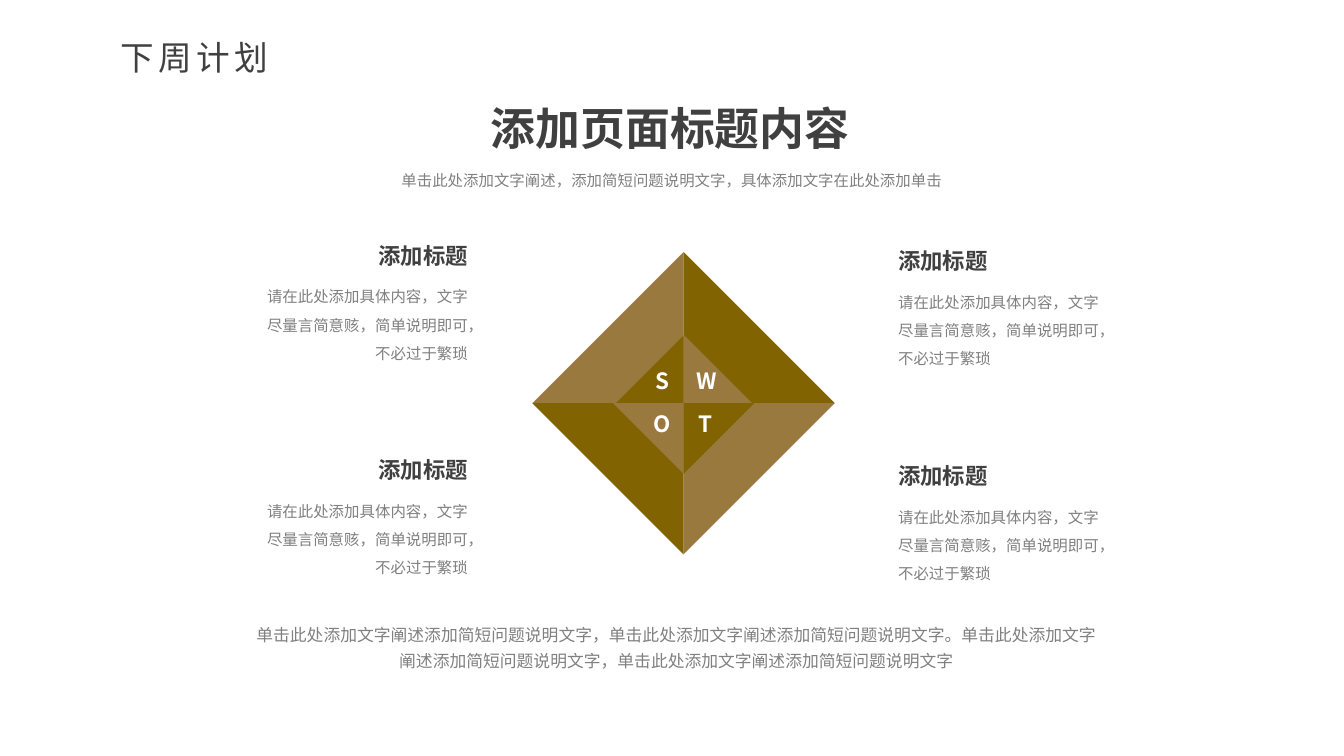
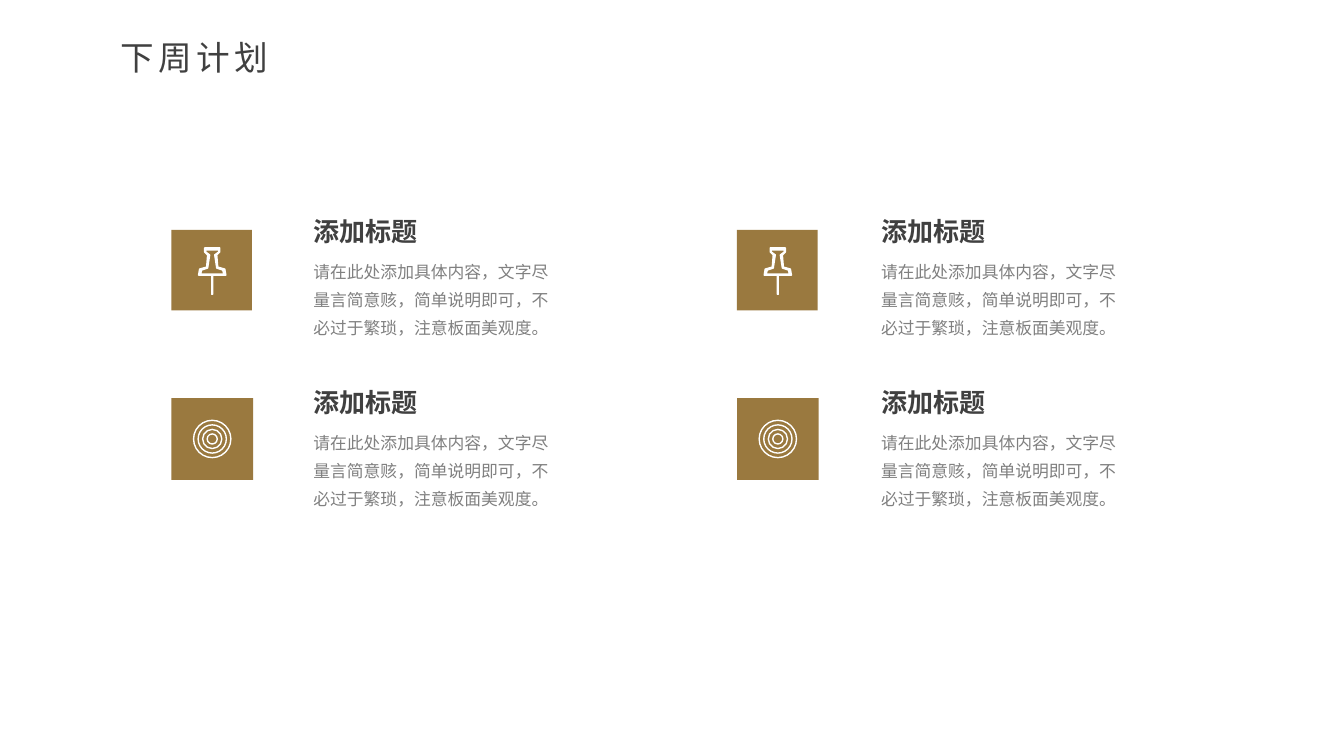
"""Build two plan slides: a SWOT diamond and a grid of icon cards."""
from lxml import etree
from pptx import Presentation
from pptx.dml.color import RGBColor
from pptx.enum.lang import MSO_LANGUAGE_ID
from pptx.enum.shapes import MSO_SHAPE
from pptx.enum.text import MSO_ANCHOR, MSO_AUTO_SIZE, PP_ALIGN
from pptx.oxml.ns import qn
from pptx.util import Pt

RECTANGLE, OVAL, TRIANGLE = MSO_SHAPE.RECTANGLE, MSO_SHAPE.OVAL, MSO_SHAPE.RIGHT_TRIANGLE
LEFT, CENTER, RIGHT, JUSTIFY = PP_ALIGN.LEFT, PP_ALIGN.CENTER, PP_ALIGN.RIGHT, PP_ALIGN.JUSTIFY
FIT, TOP = MSO_AUTO_SIZE.SHAPE_TO_FIT_TEXT, MSO_ANCHOR.TOP
CHINESE = MSO_LANGUAGE_ID.SIMPLIFIED_CHINESE

EMU_PER_PX = 9144
FONT = "Noto Sans CJK SC"
COLORS = {"dark": "404040", "grey": "808080", "white": "FFFFFF",
          "olive": "816301", "tan": "9A793F"}

STYLES = {
    "title": {"size": 24, "color": "dark", "align": JUSTIFY, "tracking": 300},
    "headline": {"size": 32, "color": "dark", "bold": True},
    "subtitle": {"size": 11, "color": "grey", "align": CENTER, "spacing": 1.5},
    "summary": {"size": 12, "color": "grey", "align": CENTER, "spacing": 1.3},
    "letter": {"size": 16, "color": "white", "bold": True, "align": RIGHT},
    "swot_head": {"size": 16, "color": "dark", "bold": True},
    "swot_body": {"size": 11, "color": "grey", "spacing": Pt(20)},
    "card_head": {"size": 18.6, "color": "dark", "bold": True},
    "card_body": {"size": 12, "color": "grey", "spacing": Pt(20)},
}

TITLE = "下周计划"
HEADING = "添加标题"
SWOT_BODY = "请在此处添加具体内容，文字尽量言简意赅，简单说明即可，不必过于繁琐"
CARD_BODY = SWOT_BODY + "，注意板面美观度。"
TITLE_BOX = (110, 32, 256, 50)

SWOT_TEXTS = [
    ("添加页面标题内容", "headline", (477, 95, 379, 64)),
    ("单击此处添加文字阐述，添加简短问题说明文字，具体添加文字在此处添加单击",
     "subtitle", (341, 156, 651, 35)),
    ("单击此处添加文字阐述添加简短问题说明文字，单击此处添加文字阐述添加简短问题说明文字。"
     "单击此处添加文字阐述添加简短问题说明文字，单击此处添加文字阐述添加简短问题说明文字",
     "summary", (241, 609, 860, 60)),
]
SWOT_COLUMNS = [
    {"head_left": 355, "body_left": 254, "align": RIGHT, "tops": (235, 448)},
    {"head_left": 881, "body_left": 881, "align": LEFT, "tops": (240, 454)},
]
DIAMOND_CENTER = (678, 400)
OUTER_LEG = 150
QUADRANTS = [
    {"letter": "S", "side": (-1, -1), "turn": 270, "colors": ("tan", "olive"),
     "inner_leg": 67, "letter_at": (618, 359)},
    {"letter": "W", "side": (0, -1), "turn": 0, "colors": ("olive", "tan"),
     "inner_leg": 68, "letter_at": (665, 359)},
    {"letter": "O", "side": (-1, 0), "turn": 180, "colors": ("olive", "tan"),
     "inner_leg": 70, "letter_at": (619, 402)},
    {"letter": "T", "side": (0, 0), "turn": 90, "colors": ("tan", "olive"),
     "inner_leg": 70, "letter_at": (660, 402)},
]

PIN_CONTOURS = [
    [(38, 25), (34, 22), (34, 20), (47, 20), (47, 22), (43, 25),
     (45, 38), (51, 40), (52, 44), (29, 44), (30, 40), (36, 38)],
    [(28, 39), (27, 45), (40, 45), (40, 64), (41, 64), (41, 45), (54, 45), (53, 39),
     (46, 37), (45, 25), (48, 22), (48, 18), (33, 18), (33, 22), (36, 25), (35, 37)],
]
RING_DIAMETERS = range(10, 38, 9)
CARD_COLUMNS = [(170, 301), (731, 864)]
CARD_ROWS = [
    {"icon": "pin", "tile_top": 228, "tile_size": 80, "head_top": 209, "body_top": 247},
    {"icon": "rings", "tile_top": 395, "tile_size": 81, "head_top": 378, "body_top": 417},
]


def px(value):
    """Turn px into EMU."""
    return round(value * EMU_PER_PX)


def rgb(name):
    """Look up a palette colour."""
    return RGBColor.from_string(COLORS[name])


def assign(target, values):
    """Set every attribute given in a dict."""
    for name, value in values.items():
        setattr(target, name, value)


def write(box, text, style, align=LEFT):
    """Fill a text shape with one styled paragraph."""
    look = STYLES[style]
    frame = box.text_frame
    assign(frame, {"word_wrap": style != "headline", "auto_size": FIT,
                   "vertical_anchor": TOP})
    para = frame.paragraphs[0]
    assign(para, {"alignment": look.get("align", align),
                  "line_spacing": look.get("spacing")})
    span = para.add_run()
    span.text = text
    assign(span.font, {"name": FONT, "size": Pt(look["size"]),
                       "bold": look.get("bold", False), "language_id": CHINESE})
    span.font.color.rgb = rgb(look["color"])
    properties = span.font._element
    etree.SubElement(properties, qn("a:ea")).set("typeface", FONT)
    if "tracking" in look:
        properties.set("spc", str(look["tracking"]))


def add_text(page, text, style, bounds, align=LEFT):
    """Add a text box."""
    write(page.shapes.add_textbox(*map(px, bounds)), text, style, align)


def paint(shape, fill=None, line=None):
    """Give a shape a flat fill and an optional 1 pt outline."""
    shape.shadow.inherit = False
    if fill:
        shape.fill.solid()
        shape.fill.fore_color.rgb = rgb(fill)
    else:
        shape.fill.background()
    if line:
        shape.line.color.rgb = rgb(line)
        shape.line.width = Pt(1)
    else:
        shape.line.fill.background()


def add_square(page, kind, left, top, size, fill=None, line=None):
    """Add a preset shape of equal width and height."""
    shape = page.shapes.add_shape(kind, px(left), px(top), px(size), px(size))
    paint(shape, fill, line)
    return shape


def add_page(deck):
    """Add a slide with the shared title."""
    page = deck.slides.add_slide(deck.slide_layouts[5])
    title = page.shapes.title
    assign(title, dict(zip(("left", "top", "width", "height"), map(px, TITLE_BOX))))
    write(title, TITLE, "title")
    return page


def add_diamond(page):
    """Draw the outer and inner triangles, then the letters."""
    center_x, center_y = DIAMOND_CENTER
    for layer in range(2):
        for quadrant in QUADRANTS:
            leg = quadrant["inner_leg"] if layer else OUTER_LEG
            side_x, side_y = quadrant["side"]
            triangle = add_square(page, TRIANGLE, center_x + side_x * leg,
                                  center_y + side_y * leg, leg, quadrant["colors"][layer])
            triangle.rotation = quadrant["turn"]
    for quadrant in QUADRANTS:
        add_text(page, quadrant["letter"], "letter", (*quadrant["letter_at"], 56, 37))


def add_pin(page, left, top, size):
    """Draw the pushpin outline on a tile."""
    first, *others = PIN_CONTOURS
    builder = page.shapes.build_freeform(*first[0], scale=EMU_PER_PX)
    builder.add_line_segments(first[1:], close=True)
    for contour in others:
        builder.move_to(*contour[0])
        builder.add_line_segments(contour[1:], close=True)
    paint(builder.convert_to_shape(px(left), px(top)), "white", "white")


def add_rings(page, left, top, size):
    """Draw concentric rings in the middle of a tile."""
    for diameter in RING_DIAMETERS:
        inset = (size - diameter) / 2
        add_square(page, OVAL, left + inset, top + inset, diameter, line="white")


def build_swot(deck):
    """Build the SWOT slide."""
    page = add_page(deck)
    add_diamond(page)
    for text, style, bounds in SWOT_TEXTS:
        add_text(page, text, style, bounds)
    for column in SWOT_COLUMNS:
        for top in column["tops"]:
            add_text(page, HEADING, "swot_head",
                     (column["head_left"], top, 119, 37), column["align"])
            add_text(page, SWOT_BODY, "swot_body",
                     (column["body_left"], top + 36, 220, 94), column["align"])


def build_cards(deck):
    """Build the slide of icon cards."""
    page = add_page(deck)
    icons = {"pin": add_pin, "rings": add_rings}
    for tile_left, text_left in CARD_COLUMNS:
        for row in CARD_ROWS:
            tile = (tile_left, row["tile_top"], row["tile_size"])
            add_square(page, RECTANGLE, *tile, "tan")
            icons[row["icon"]](page, *tile)
            add_text(page, HEADING, "card_head", (text_left, row["head_top"], 212, 41))
            add_text(page, CARD_BODY, "card_body", (text_left, row["body_top"], 266, 94))


def main():
    """Build and save the deck."""
    deck = Presentation()
    assign(deck, {"slide_width": px(1333), "slide_height": px(750)})
    build_swot(deck)
    build_cards(deck)
    deck.save("out.pptx")


if __name__ == "__main__":
    main()
